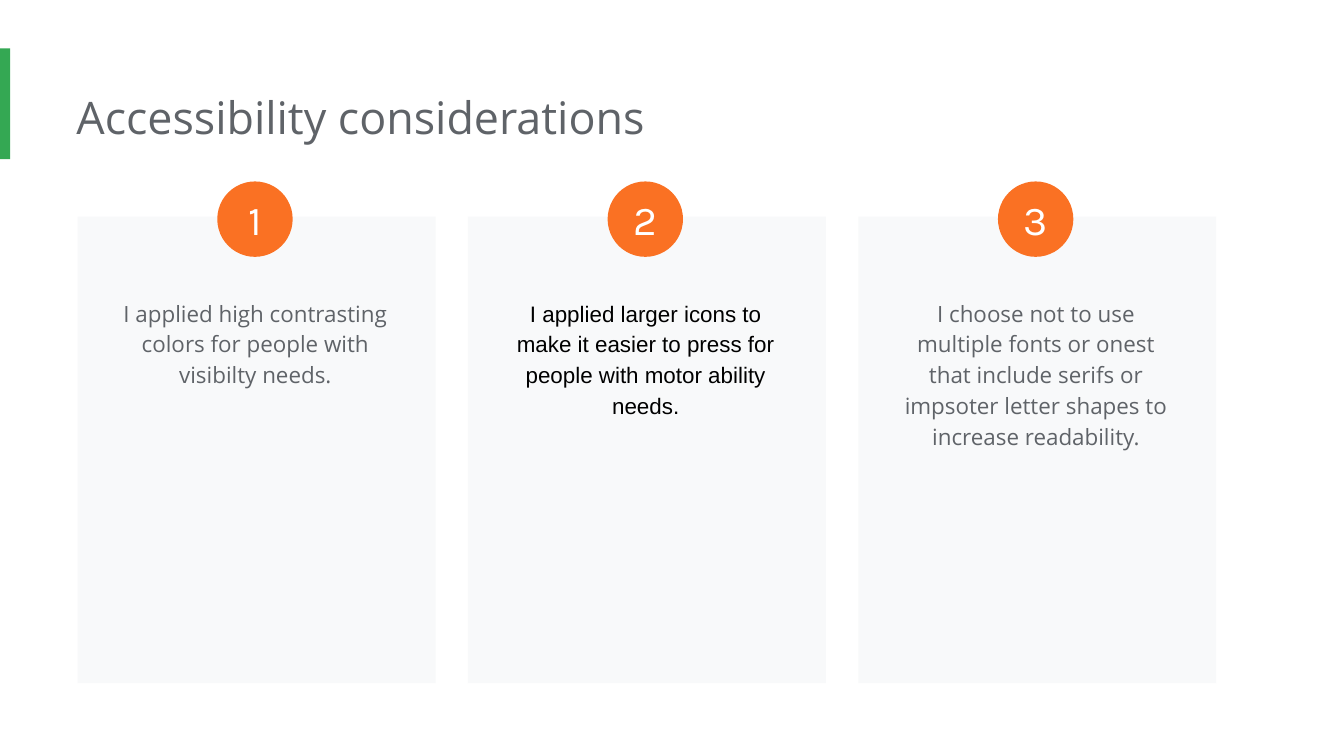
import pptx
import pptx.util
import pptx.dml.color
import pptx.enum.shapes
import pptx.enum.text
from dataclasses import dataclass

Pt = pptx.util.Pt
Shape = pptx.enum.shapes.MSO_SHAPE
Align = pptx.enum.text.PP_ALIGN
Anchor = pptx.enum.text.MSO_ANCHOR


@dataclass(frozen=True)
class Theme:
    green: str = "34A853"
    orange: str = "FA7123"
    panel: str = "F8F9FA"
    grey: str = "5F6368"
    black: str = "000000"
    white: str = "FFFFFF"
    sans: str = "Open Sans"
    plain: str = "Arial"
    round: str = "Karla"
    title: int = 24
    body: int = 12
    digit: int = 22


class Deck:
    """Holds the theme and the current slide."""

    def __init__(self, theme, slide):
        self.theme = theme
        self.slide = slide

    def label(self, shape, text, size, font, color, align, inset):
        """Fill a shape with one styled paragraph; inset is left, top, right, bottom."""
        frame = shape.text_frame
        frame.word_wrap = True
        (frame.margin_left, frame.margin_top,
         frame.margin_right, frame.margin_bottom) = map(Pt, inset)
        frame.text = text
        line = frame.paragraphs[0]
        line.alignment = align
        for run in line.runs:
            run.font.size = Pt(size)
            run.font.name = font
            run.font.color.rgb = pptx.dml.color.RGBColor.from_string(color)
        return line

    def block(self, kind, box, color):
        """Add a filled shape with no outline."""
        shape = self.slide.shapes.add_shape(kind, *map(Pt, box))
        shape.shadow.inherit = False
        shape.fill.solid()
        shape.fill.fore_color.rgb = pptx.dml.color.RGBColor.from_string(color)
        shape.line.fill.background()
        return shape

    def title(self, box, text):
        look = self.theme
        shape = self.slide.shapes.add_textbox(*map(Pt, box))
        self.label(shape, text, look.title, look.sans, look.grey,
                   Align.LEFT, (0, 7.2, 7.2, 7.2))

    def body(self, box, text, font, color):
        shape = self.slide.shapes.add_textbox(*map(Pt, box))
        line = self.label(shape, text, self.theme.body, font, color,
                          Align.CENTER, (7.2,) * 4)
        line.line_spacing = 1.15

    def badge(self, box, text):
        look = self.theme
        shape = self.block(Shape.OVAL, box, look.orange)
        self.label(shape, text, look.digit, look.round, look.white,
                   Align.CENTER, (0,) * 4)
        shape.text_frame.vertical_anchor = Anchor.MIDDLE


def main():
    theme = Theme()
    show = pptx.Presentation()
    show.slide_width, show.slide_height = Pt(720), Pt(405)
    deck = Deck(theme, show.slides.add_slide(show.slide_layouts[6]))

    deck.block(Shape.RECTANGLE, (0, 26, 5.5, 59.3), theme.green)
    deck.title((41, 41, 551.5, 44), "Accessibility considerations")

    cards = [
        ("I applied high contrasting colors for people with visibilty needs.",
         theme.sans, theme.grey),
        ("I applied larger icons to make it easier to press for people with "
         "motor ability needs.", theme.plain, theme.black),
        ("I choose not to use multiple fonts or onest that include serifs or "
         "impsoter letter shapes to increase readability.",
         theme.sans, theme.grey),
    ]
    pitch = 209.1
    for step, (text, font, color) in enumerate(cards):
        shift = step * pitch
        deck.block(Shape.RECTANGLE, (41.6 + shift, 116, 191.8, 250), theme.panel)
        deck.body((56.2 + shift, 151.2, 161.3, 98), text, font, color)
        deck.badge((116.4 + shift, 97.2, 40.4, 40.4), str(step + 1))

    show.save("out.pptx")


if __name__ == "__main__":
    main()
